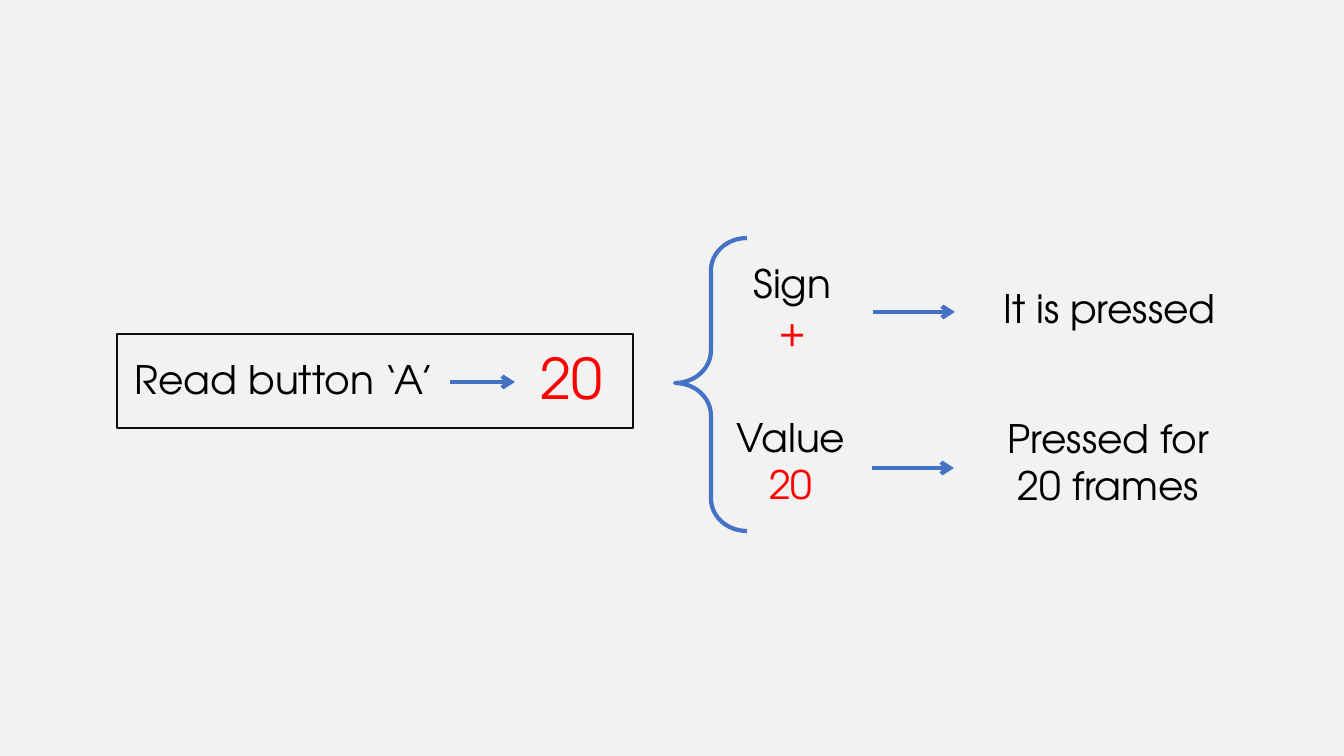
from lxml.etree import SubElement
from pptx import Presentation
from pptx.dml.color import RGBColor
from pptx.enum.shapes import MSO_CONNECTOR, MSO_SHAPE
from pptx.enum.text import MSO_AUTO_SIZE, PP_ALIGN
from pptx.oxml.ns import qn
from pptx.util import Pt

PX = 914400 / 100.8
FONT = "TeX Gyre Adventor"
BACKGROUND = RGBColor(0xF2, 0xF2, 0xF2)
BLACK = RGBColor(0, 0, 0)
FRAME = RGBColor(0x0D, 0x0D, 0x0D)
RED = RGBColor(0xFF, 0, 0)
BLUE = RGBColor(0x44, 0x72, 0xC4)


def px(*values):
    return [round(v * PX) for v in values]


def add_text(shapes, text, box, size=28, colors=(BLACK,)):
    sp = shapes.add_textbox(*px(*box))
    tf = sp.text_frame
    tf.word_wrap = True
    tf.auto_size = MSO_AUTO_SIZE.SHAPE_TO_FIT_TEXT
    lines = text.split("|")
    for i, (line, color) in enumerate(zip(lines, colors)):
        p = tf.add_paragraph() if i else tf.paragraphs[0]
        p.text = line
        p.alignment = PP_ALIGN.CENTER
        for r in p.runs:
            r.font.name = FONT
            r.font.size = Pt(size)
            r.font.color.rgb = color


prs = Presentation()
prs.slide_width, prs.slide_height = px(1344, 756)
s = prs.slides.add_slide(prs.slide_layouts[6])
s.background.fill.solid()
s.background.fill.fore_color.rgb = BACKGROUND

reading, sign, value = [s.shapes.add_group_shape().shapes for _ in range(3)]

sp = reading.add_shape(MSO_SHAPE.RECTANGLE, *px(117, 334, 516, 94))
sp.shadow.inherit = False
sp.fill.background()
sp.line.color.rgb = FRAME
sp.line.width = Pt(1.5)

add_text(reading, "20", (516, 339, 112, 78), size=40, colors=(RED,))
add_text(reading, "Read button ‘A’", (124, 350, 321, 57))
add_text(sign, "Sign|+", (715, 254, 155, 105), colors=(BLACK, RED))
add_text(sign, "It is pressed", (957, 279, 305, 57))
add_text(value, "Value|20", (705, 408, 172, 105), colors=(BLACK, RED))
add_text(value, "Pressed for\v20 frames", (956, 409, 305, 105))

for shapes, x, y, length in ((reading, 450, 382, 65), (sign, 873, 312, 82), (value, 872, 468, 82)):
    arrow = shapes.add_connector(MSO_CONNECTOR.STRAIGHT, *px(x, y, x + length, y))
    arrow.line.color.rgb = BLUE
    arrow.line.width = Pt(3)
    SubElement(arrow.line._get_or_add_ln(), qn("a:tailEnd"), type="arrow")
    SubElement(arrow._element.spPr, qn("a:effectLst"))

brace = s.shapes.add_shape(MSO_SHAPE.LEFT_BRACE, *px(675, 238, 72, 293))
brace.shadow.inherit = False
brace.adjustments[0] = 0.45
brace.adjustments[1] = 0.495
brace.fill.background()
brace.line.color.rgb = BLUE
brace.line.width = Pt(3)

prs.save("out.pptx")
